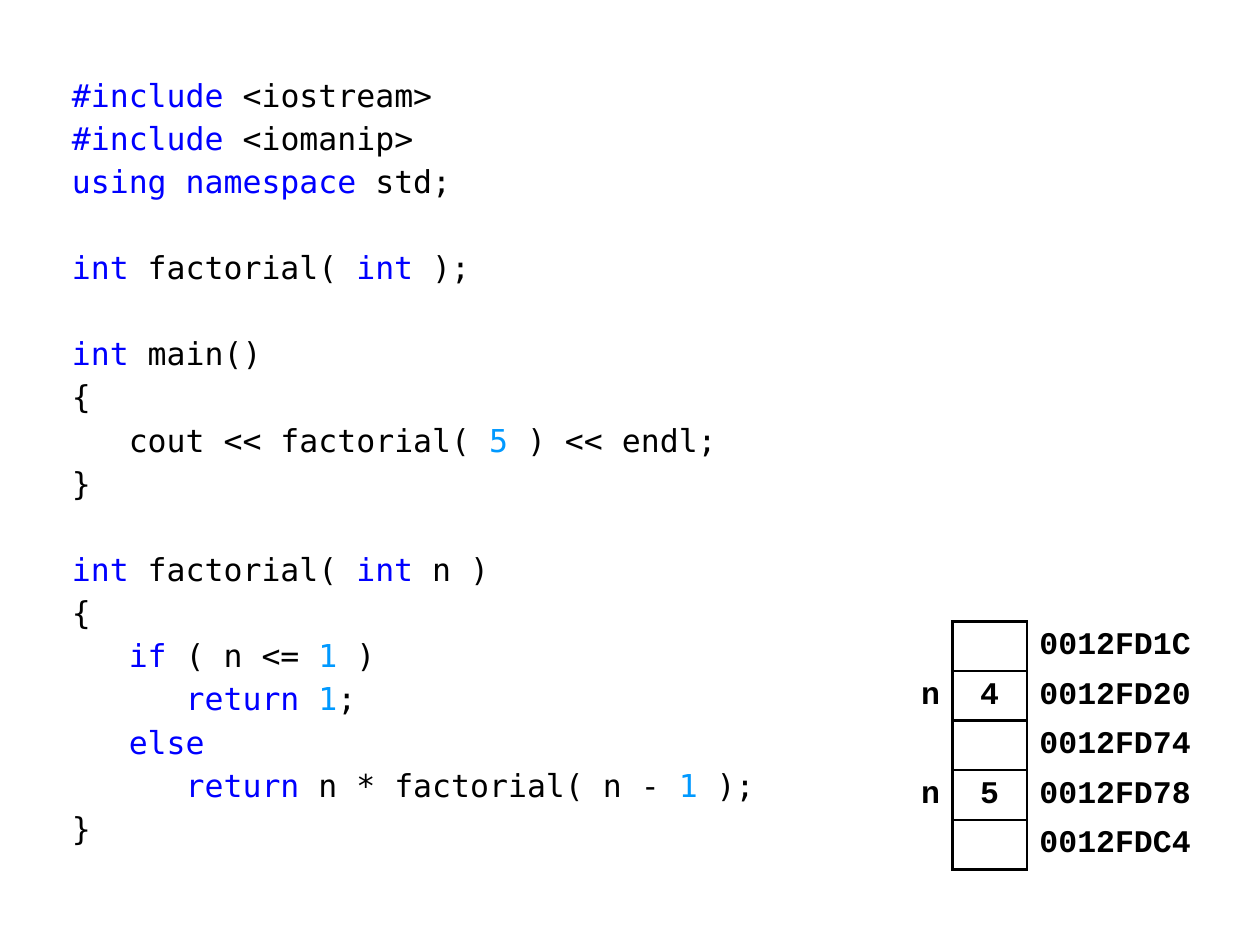
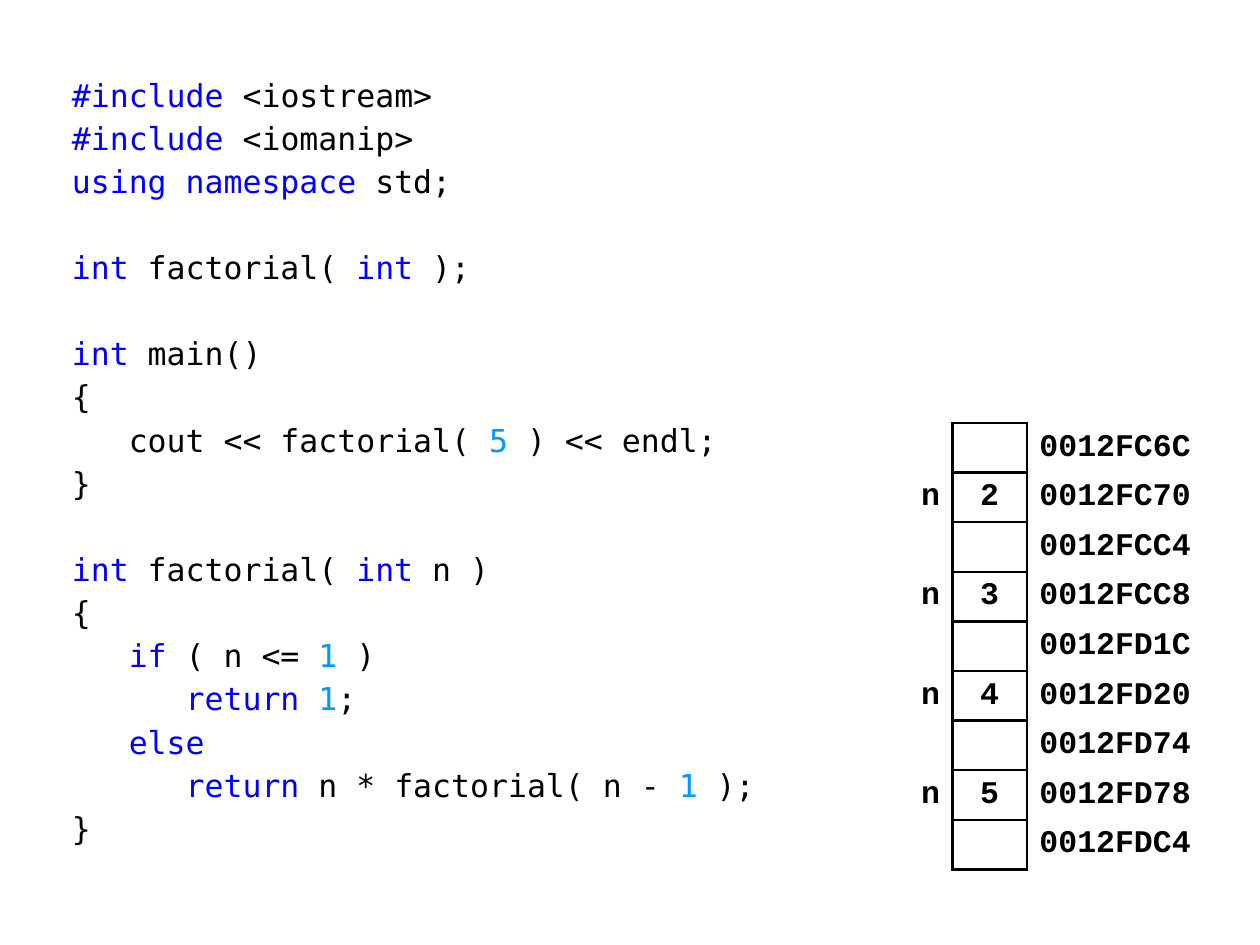
from dataclasses import dataclass
from itertools import groupby

from lxml.etree import SubElement
from pptx import Presentation
from pptx.dml.color import RGBColor as RGB
from pptx.enum.text import MSO_ANCHOR as Anchor, PP_ALIGN as Align
from pptx.oxml.ns import qn
from pptx.util import Pt


@dataclass(frozen=True)
class Theme:
    text: RGB = RGB(0, 0, 0)
    keyword: RGB = RGB(0x00, 0x00, 0xFF)
    number: RGB = RGB(0x00, 0x99, 0xFF)
    code_font: str = "DejaVu Sans Mono"
    memory_font: str = "Courier New"
    size: Pt = Pt(18)
    border: Pt = Pt(1.5)


THEME = Theme()
LINE_GAP, BLOCK_GAP = Pt(3.05), Pt(27.65)
KEYWORDS = {"#include", "using", "namespace", "int", "if", "else", "return"}
NO_TABLE_STYLE = "{2D5ABB26-0587-4C30-8999-92F81FD0307C}"

CODE = """\
#include <iostream>
#include <iomanip>
using namespace std;

int factorial( int );

int main()
{
   cout << factorial( 5 ) << endl;
}

int factorial( int n )
{
   if ( n <= 1 )
      return 1;
   else
      return n * factorial( n - 1 );
}"""

# The stack from its top to its bottom: address, value of n
MEMORY = [
    ("0012FC6C", ""), ("0012FC70", "2"), ("0012FCC4", ""),
    ("0012FCC8", "3"), ("0012FD1C", ""), ("0012FD20", "4"),
    ("0012FD74", ""), ("0012FD78", "5"), ("0012FDC4", ""),
]
TABLE_ROWS, ROW_HEIGHT = 11, Pt(28.35)
COLUMN_WIDTHS = [Pt(28.1), Pt(42.5), Pt(99.4)]
RIGHT_MARGINS = [Pt(7.2), Pt(7.2), Pt(5)]
ALIGNMENTS = [Align.RIGHT, Align.CENTER, Align.LEFT]


def color_runs(line):
    """Split a code line into (colour, text) pairs, one per colour change."""
    pieces = []
    for word in line.split(" "):
        body = word.rstrip(";")
        if body in KEYWORDS:
            color = THEME.keyword
        elif body.isdigit():
            color = THEME.number
        else:
            color = THEME.text
        pieces += [(color, body), (THEME.text if body != word else color, word[len(body):] + " ")]
    pieces[-1] = (pieces[-1][0], pieces[-1][1][:-1])
    pieces = [piece for piece in pieces if piece[1]]
    return [(color, "".join(text for _, text in group))
            for color, group in groupby(pieces, key=lambda piece: piece[0])]


def add_borders(cell, sides):
    """Draw the given sides, a string of L, R, T and B in that order."""
    tcPr = cell._tc.get_or_add_tcPr()
    for side in sides:
        ln = SubElement(tcPr, qn(f"a:ln{side}"), w=str(THEME.border))
        fill = SubElement(ln, qn("a:solidFill"))
        SubElement(fill, qn("a:srgbClr"), val=str(THEME.text))


prs = Presentation()
prs.slide_width, prs.slide_height = Pt(720), Pt(540)

for frames_shown in (5, 9):
    slide = prs.slides.add_slide(prs.slide_layouts[6])

    # Program listing
    tf = slide.shapes.add_textbox(Pt(34), Pt(43.2), Pt(411), Pt(439)).text_frame
    tf.word_wrap = True
    tf.margin_top = tf.margin_bottom = 0
    first_line = True
    gap = 0
    for line in CODE.splitlines():
        if not line:
            gap = BLOCK_GAP
            continue
        p = tf.paragraphs[0] if first_line else tf.add_paragraph()
        p.space_before = gap
        p.font.name, p.font.size = THEME.code_font, THEME.size
        for color, text in color_runs(line):
            r = p.add_run()
            r.text = text
            r.font.color.rgb = color
        first_line, gap = False, LINE_GAP

    # Stack memory, filled from the bottom of the table
    frame = slide.shapes.add_table(TABLE_ROWS, 3, Pt(516.2), Pt(185),
                                   sum(COLUMN_WIDTHS), ROW_HEIGHT * TABLE_ROWS)
    table = frame.table
    table.first_row = table.horz_banding = False
    frame.element.find(f".//{qn('a:tableStyleId')}").text = NO_TABLE_STYLE
    for column, width in zip(table.columns, COLUMN_WIDTHS):
        column.width = width

    top = TABLE_ROWS - frames_shown
    blank_rows = [("", "")] * top
    for row, (address, value) in enumerate(blank_rows + MEMORY[-frames_shown:]):
        table.rows[row].height = ROW_HEIGHT
        if row >= top:
            borders = ["R", "LRTB", "L"]
        elif row == top - 1:
            borders = ["", "B", ""]
        else:
            borders = ["", "", ""]
        texts = ["n" if value else "", value, address]
        for col, text in enumerate(texts):
            cell = table.cell(row, col)
            cell.vertical_anchor = Anchor.MIDDLE
            cell.margin_top = cell.margin_bottom = Pt(2.9)
            cell.margin_right = RIGHT_MARGINS[col]
            cell.text = text
            p = cell.text_frame.paragraphs[0]
            p.alignment = ALIGNMENTS[col]
            p.font.name, p.font.size, p.font.bold = THEME.memory_font, THEME.size, True
            p.font.color.rgb = THEME.text
            add_borders(cell, borders[col])
            cell.fill.background()

prs.save("out.pptx")
